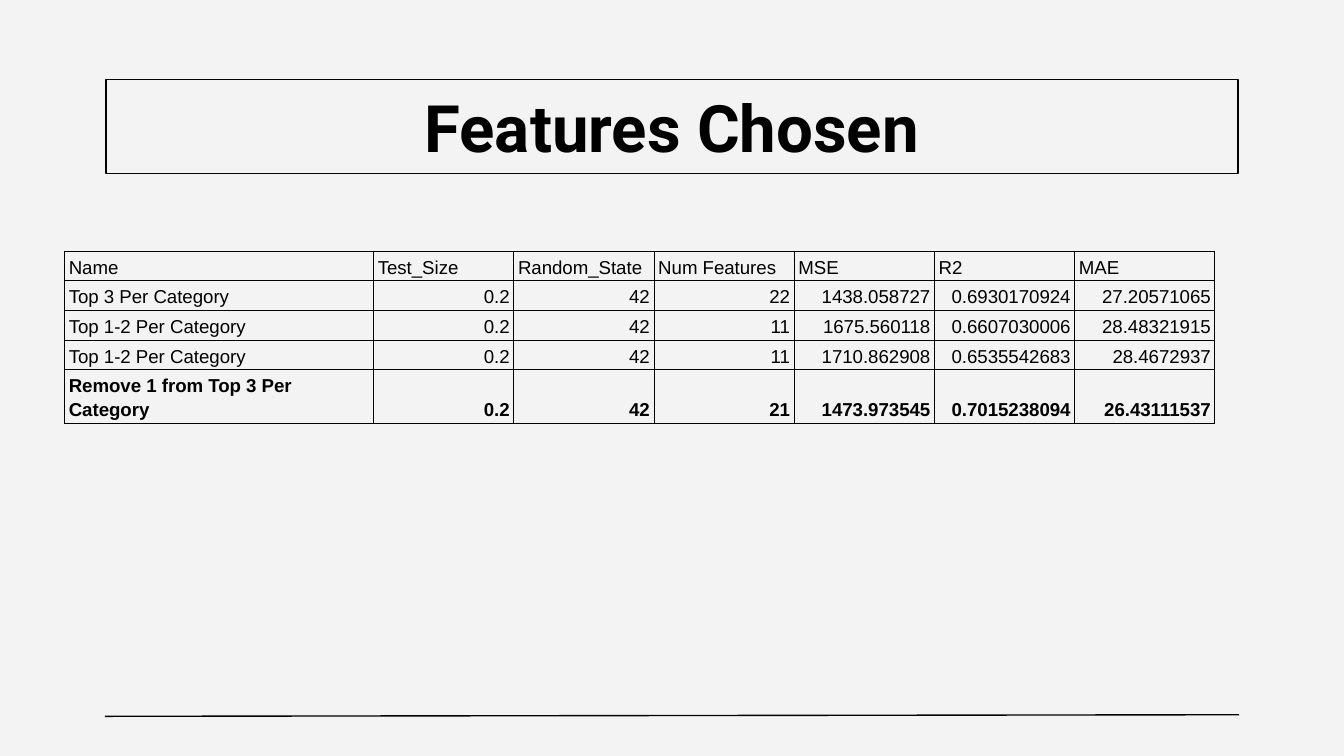
from dataclasses import dataclass

from lxml.etree import SubElement
from pptx import Presentation
from pptx.dml.color import RGBColor
from pptx.enum.shapes import MSO_CONNECTOR as Link
from pptx.enum.text import MSO_ANCHOR as Anchor, MSO_AUTO_SIZE as Fit, PP_ALIGN as Align
from pptx.oxml import parse_xml
from pptx.oxml.ns import nsdecls, qn
from pptx.slide import Slide
from pptx.table import _Cell as Cell
from pptx.util import Cm, Pt

BLACK = RGBColor(0x00, 0x00, 0x00)
PALE = RGBColor(0xF3, 0xF3, 0xF3)
EDGE = Pt(0.6)
WIDTHS = [5.84] + [2.65] * 6
HEADS = ("Name", "Test_Size", "Random_State", "Num Features", "MSE", "R2", "MAE")


@dataclass
class Row:
    cells: tuple[str, ...]
    high: float = 0.56
    bold: bool = False
    head: bool = False


ROWS = [
    Row(HEADS, head=True),
    Row(("Top 3 Per Category", "0.2", "42", "22", "1438.058727", "0.6930170924", "27.20571065")),
    Row(("Top 1-2 Per Category", "0.2", "42", "11", "1675.560118", "0.6607030006", "28.48321915")),
    Row(("Top 1-2 Per Category", "0.2", "42", "11", "1710.862908", "0.6535542683", "28.4672937")),
    Row(("Remove 1 from Top 3 Per Category", "0.2", "42", "21", "1473.973545", "0.7015238094",
         "26.43111537"), high=1.0, bold=True),
]


def add_title(slide: Slide, text: str) -> None:
    title = slide.shapes.title
    title.left, title.top, title.width, title.height = Cm(2), Cm(1.5), Cm(21.4), Cm(1.78)
    title.line.color.rgb = BLACK
    title.line.width = Pt(0.75)
    frame = title.text_frame
    frame.text = text
    frame.auto_size = Fit.NONE
    frame.vertical_anchor = Anchor.MIDDLE
    frame.margin_left = frame.margin_right = Cm(0.25)
    frame.margin_top = frame.margin_bottom = Cm(0.25)
    line = frame.paragraphs[0]
    line.alignment = Align.CENTER
    line.line_spacing = 1.0
    font = line.runs[0].font
    font.name, font.size, font.bold = "Roboto", Pt(35), True
    font.color.rgb = BLACK


def add_rule(slide: Slide) -> None:
    rule = slide.shapes.add_connector(Link.STRAIGHT, Cm(1.98), Cm(13.54), Cm(23.42), Cm(13.51))
    rule.line.color.rgb = BLACK
    rule.line.width = Pt(0.75)
    SubElement(rule.element.spPr, qn("a:effectLst"))


def add_edges(cell: Cell) -> None:
    props = cell._tc.get_or_add_tcPr()
    for spot, side in enumerate("LRTB"):
        props.insert(spot, parse_xml(
            f'<a:ln{side} {nsdecls("a")} w="{EDGE}"><a:solidFill>'
            f'<a:srgbClr val="{BLACK}"/></a:solidFill></a:ln{side}>'))


def fill_cell(cell: Cell, text: str, row: Row, right: bool) -> None:
    cell.fill.background()
    add_edges(cell)
    cell.vertical_anchor = Anchor.BOTTOM
    cell.margin_left = cell.margin_right = Cm(0.08)
    cell.margin_top = cell.margin_bottom = Cm(0.05)
    cell.text_frame.text = text
    line = cell.text_frame.paragraphs[0]
    line.alignment = Align.RIGHT if right else Align.LEFT
    line.line_spacing = 1.15
    font = line.runs[0].font
    font.name, font.size, font.bold = "Arial", Pt(10), row.bold
    font.color.rgb = BLACK


def add_grid(slide: Slide, rows: list[Row]) -> None:
    wide, high = sum(WIDTHS), sum(row.high for row in rows)
    grid = slide.shapes.add_table(
        len(rows), len(WIDTHS), Cm(1.22), Cm(4.75), Cm(wide), Cm(high)).table
    grid.first_row = grid.horz_banding = False
    for col, width in zip(grid.columns, WIDTHS):
        col.width = Cm(width)
    for r, row in enumerate(rows):
        grid.rows[r].height = Cm(row.high)
        for c, text in enumerate(row.cells):
            fill_cell(grid.cell(r, c), text, row, c > 0 and not row.head)


def main() -> None:
    deck = Presentation()
    deck.slide_width, deck.slide_height = Cm(25.4), Cm(14.29)
    slide = deck.slides.add_slide(deck.slide_layouts[5])
    back = slide.background.fill
    back.solid()
    back.fore_color.rgb = PALE
    add_rule(slide)
    add_title(slide, "Features Chosen")
    add_grid(slide, ROWS)
    deck.save("out.pptx")


if __name__ == "__main__":
    main()
